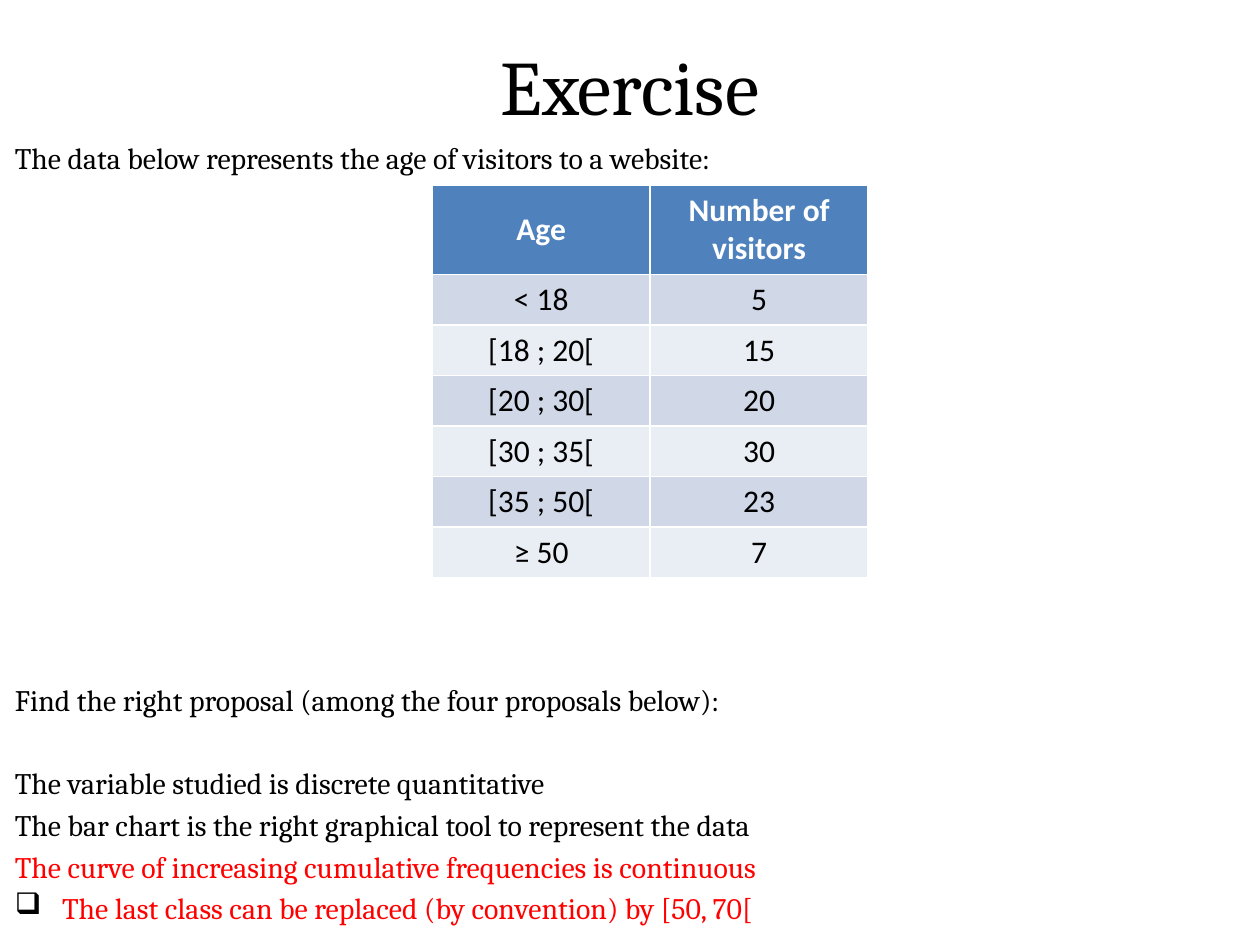
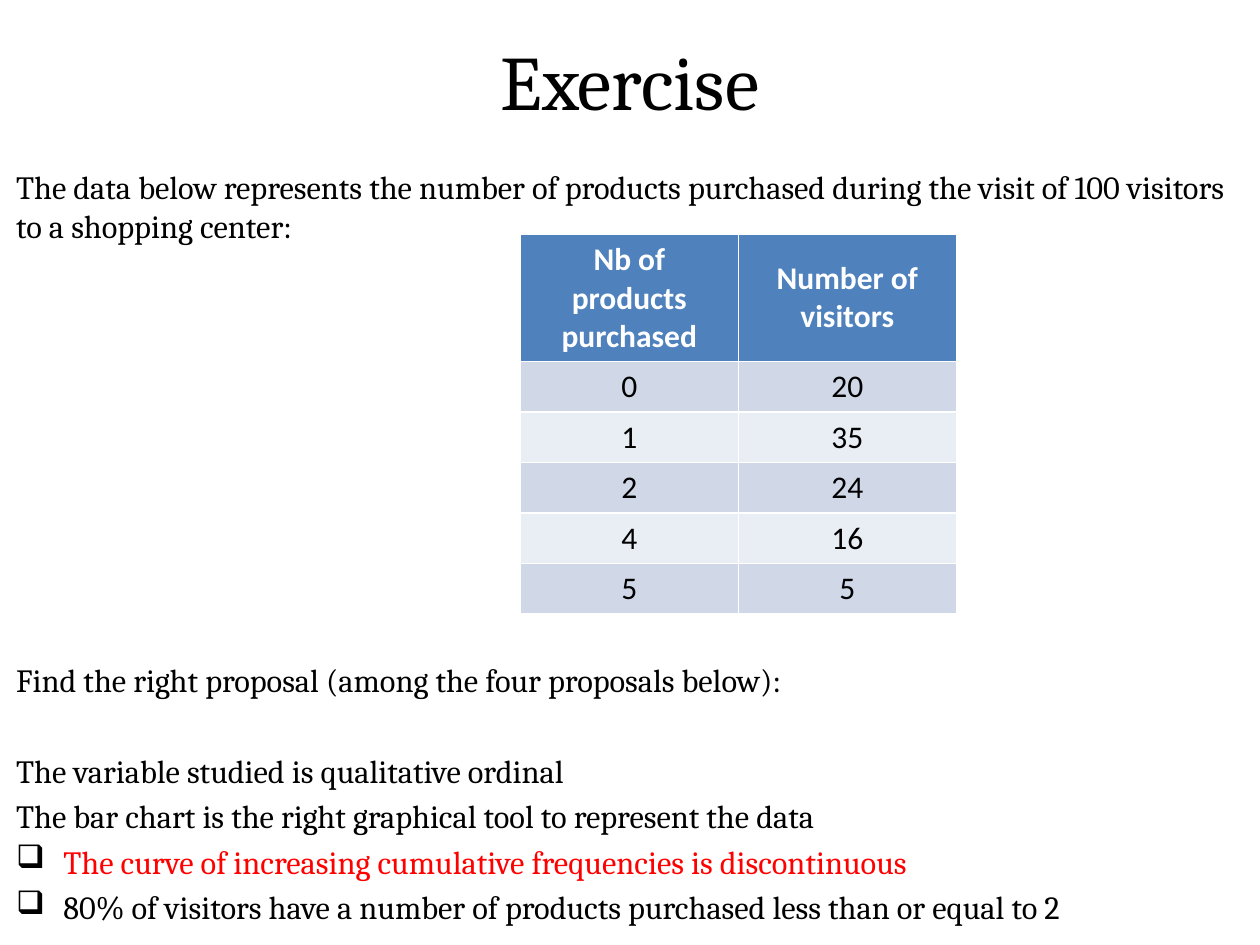
from lxml import etree
from pptx import Presentation
from pptx.dml.color import RGBColor
from pptx.enum.text import MSO_ANCHOR, PP_ALIGN
from pptx.oxml.ns import qn
from pptx.util import Inches, Pt

LEFT, CENTER = PP_ALIGN.LEFT, PP_ALIGN.CENTER
MIDDLE = MSO_ANCHOR.MIDDLE

BLACK = RGBColor(0x00, 0x00, 0x00)
WHITE = RGBColor(0xFF, 0xFF, 0xFF)
RED = RGBColor(0xFF, 0x00, 0x00)
HEADER_BLUE = RGBColor(0x4F, 0x81, 0xBD)
BANDS = [RGBColor(0xE9, 0xED, 0xF4), RGBColor(0xD0, 0xD8, 0xE8)]

SERIF, SANS = "Cambria", "Calibri"
QUESTION = "Find the right proposal (among the four proposals below):"
BAR_CHART = "The bar chart is the right graphical tool to represent the data"

# The slide is a grid of 100 columns by 75 rows of square units
UNIT = Inches(0.1)
COLUMN_WIDTH = 17.3
ROW_HEIGHT = 4
INDENT = 3.75

# Proposals are (wording, colour, has a check box)
EXERCISES = [
    {
        "title_top": 0.5, "body_left": 0.2, "size": 17,
        "intro": "The data below represents the age of visitors to a website:",
        "intro_top": 11.1, "question_top": 54.1,
        "table_left": 34.3, "table_top": 14.7, "header_height": 7.1,
        "rows": [("Age", "Number of visitors"), ("< 18", "5"),
                 ("[18 ; 20[", "15"), ("[20 ; 30[", "20"),
                 ("[30 ; 35[", "30"), ("[35 ; 50[", "23"), ("≥ 50", "7")],
        "proposals": [
            ("The variable studied is discrete quantitative", BLACK, False),
            (BAR_CHART, BLACK, False),
            ("The curve of increasing cumulative frequencies is continuous", RED, False),
            ("The last class can be replaced (by convention) by [50, 70[", RED, True),
        ],
    },
    {
        "title_top": 0.1, "body_left": 0.3, "size": 18.5,
        "intro": "The data below represents the number of products purchased "
                 "during the visit of 100 visitors to a shopping center:",
        "intro_top": 13.3, "question_top": 52.4,
        "table_left": 41.3, "table_top": 18.6, "header_height": 10.1,
        "rows": [("Nb of products purchased", "Number of visitors"),
                 ("0", "20"), ("1", "35"), ("2", "24"), ("4", "16"), ("5", "5")],
        "proposals": [
            ("The variable studied is qualitative ordinal", BLACK, False),
            (BAR_CHART, BLACK, False),
            ("The curve of increasing cumulative frequencies is discontinuous", RED, True),
            ("80% of visitors have a number of products purchased "
             "less than or equal to 2", BLACK, True),
        ],
    },
]


def units(count):
    return int(count * UNIT)


def write_text(paragraph, text, size=18, font=SERIF, color=BLACK, bold=False,
               align=LEFT, space_before=0, check_box=False):
    paragraph.alignment = align
    paragraph.space_before = Pt(space_before)
    if check_box:
        properties = paragraph._p.get_or_add_pPr()
        properties.set("marL", str(units(INDENT)))
        properties.set("indent", str(-units(INDENT)))
        bullet_color = etree.SubElement(properties, qn("a:buClr"))
        etree.SubElement(bullet_color, qn("a:srgbClr"), val=str(BLACK))
        etree.SubElement(properties, qn("a:buChar"), char="❑")
    run = paragraph.add_run()
    run.text = text
    run.font.size = Pt(size)
    run.font.name = font
    run.font.bold = bold
    run.font.color.rgb = color


presentation = Presentation()
presentation.slide_width = units(100)
presentation.slide_height = units(75)
title_only = presentation.slide_layouts[5]

for exercise in EXERCISES:
    slide = presentation.slides.add_slide(title_only)
    size = exercise["size"]

    # Title
    title = slide.shapes.title
    title.left, title.top = units(5), units(exercise["title_top"])
    title.width, title.height = units(90), units(12.5)
    title.text_frame.vertical_anchor = MIDDLE
    write_text(title.text_frame.paragraphs[0], "Exercise", size=44, align=CENTER)

    # Introduction, and the question that heads the proposals
    for top, height, text in [
        (exercise["intro_top"], 7, exercise["intro"]),
        (exercise["question_top"], 20, QUESTION),
    ]:
        box = slide.shapes.add_textbox(units(exercise["body_left"]), units(top),
                                       units(99.7), units(height))
        frame = box.text_frame
        frame.word_wrap = True
        frame.margin_top = frame.margin_bottom = 0
        write_text(frame.paragraphs[0], text, size=size)

    # Proposals, one line below the question
    for index, (text, color, check_box) in enumerate(exercise["proposals"]):
        write_text(frame.add_paragraph(), text, size=size, color=color,
                   space_before=size * (0.2 if index else 1.6), check_box=check_box)

    # Table of visitors
    rows = exercise["rows"]
    header_height = exercise["header_height"]
    table = slide.shapes.add_table(
        len(rows), 2, units(exercise["table_left"]), units(exercise["table_top"]),
        units(2 * COLUMN_WIDTH),
        units(header_height + ROW_HEIGHT * (len(rows) - 1))).table
    for column in table.columns:
        column.width = units(COLUMN_WIDTH)
    for row_index, values in enumerate(rows):
        is_header = row_index == 0
        table.rows[row_index].height = units(header_height if is_header else ROW_HEIGHT)
        for column_index, value in enumerate(values):
            cell = table.cell(row_index, column_index)
            cell.fill.solid()
            cell.fill.fore_color.rgb = HEADER_BLUE if is_header else BANDS[row_index % 2]
            if is_header:
                cell.vertical_anchor = MIDDLE
            write_text(cell.text_frame.paragraphs[0], value, font=SANS, align=CENTER,
                       color=WHITE if is_header else BLACK, bold=is_header)

presentation.save("out.pptx")
